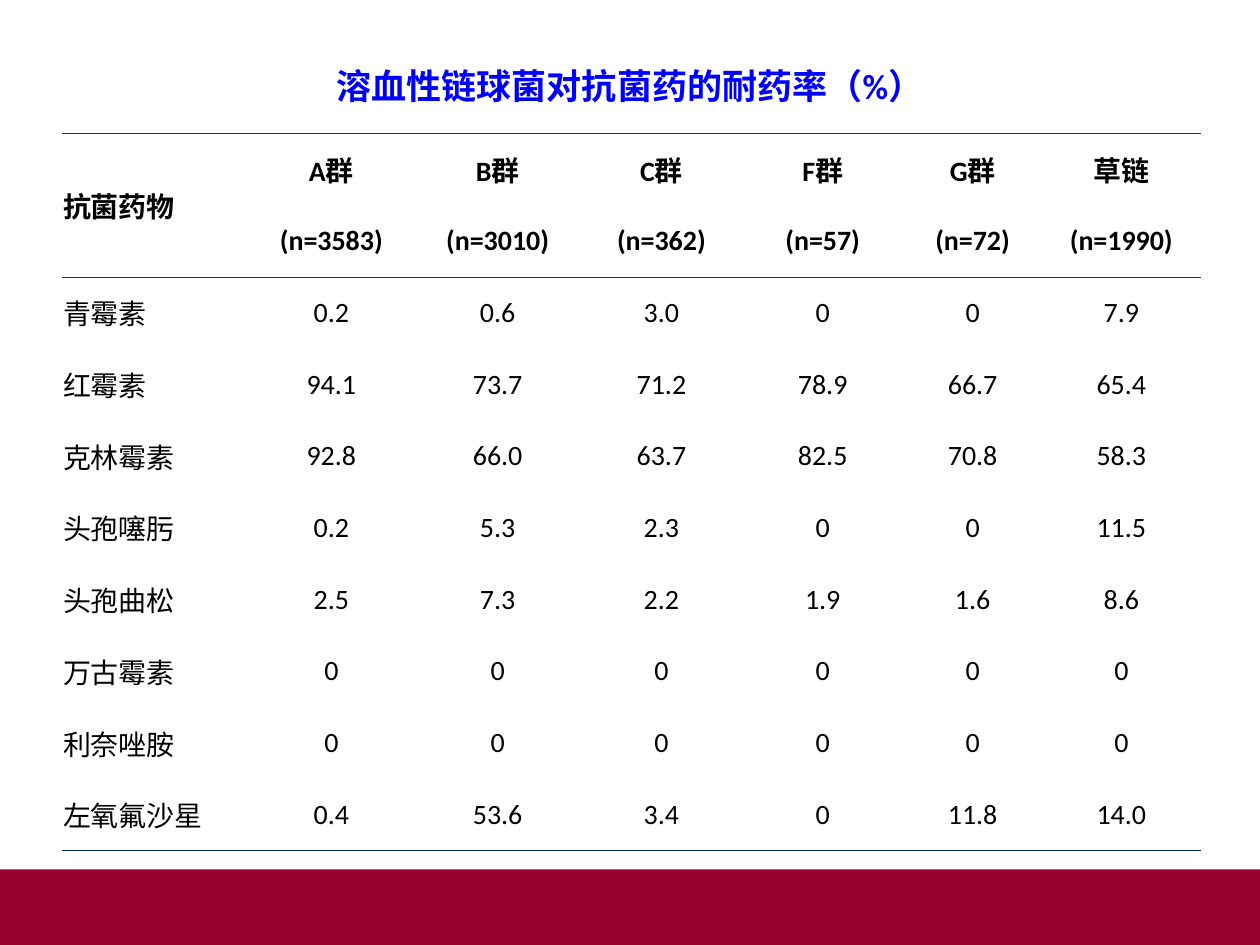
import pptx
import pptx.dml.color
import pptx.enum.shapes
import pptx.enum.text
import pptx.oxml
import pptx.oxml.ns
import pptx.util

Inches = pptx.util.Inches
ALIGN = pptx.enum.text.PP_ALIGN
MIDDLE = pptx.enum.text.MSO_ANCHOR.MIDDLE

TITLE = "溶血性链球菌对抗菌药的耐药率（%）"
ROWS = [
    ["抗菌药物", "A群", "B群", "C群", "F群", "G群", "草链"],
    ["", "(n=3583)", "(n=3010)", "(n=362)", "(n=57)", "(n=72)", "(n=1990)"],
    ["青霉素", "0.2", "0.6", "3.0", "0", "0", "7.9"],
    ["红霉素", "94.1", "73.7", "71.2", "78.9", "66.7", "65.4"],
    ["克林霉素", "92.8", "66.0", "63.7", "82.5", "70.8", "58.3"],
    ["头孢噻肟", "0.2", "5.3", "2.3", "0", "0", "11.5"],
    ["头孢曲松", "2.5", "7.3", "2.2", "1.9", "1.6", "8.6"],
    ["万古霉素", "0", "0", "0", "0", "0", "0"],
    ["利奈唑胺", "0", "0", "0", "0", "0", "0"],
    ["左氧氟沙星", "0.4", "53.6", "3.4", "0", "11.8", "14.0"],
]
HEADER_ROWS = 2
COLUMN_WIDTHS = [1.48, 1.32, 1.32, 1.28, 1.28, 1.1, 1.26]
TABLE_LEFT, TABLE_TOP, TABLE_HEIGHT = 0.49, 1.06, 5.69
# Rules by the number of rows above them
RULES = {0: "003366", HEADER_ROWS: "003366", len(ROWS): "002060"}
RULE_WIDTH = 0.45


def color(value):
    return pptx.dml.color.RGBColor.from_string(value)


def write(frame, text, size=16, ink="000000", bold=False, align=ALIGN.CENTER):
    paragraph = frame.paragraphs[0]
    paragraph.alignment = align
    span = paragraph.add_run()
    span.text = text
    span.font.name = "Calibri"
    span.font.size = pptx.util.Pt(size)
    span.font.bold = bold
    span.font.color.rgb = color(ink)


def set_borders(cell, top, bottom):
    """Draw the top and bottom edges in the given colours; None means no line."""
    properties = cell._tc.get_or_add_tcPr()
    namespace = pptx.oxml.ns.nsdecls("a")
    width = int(pptx.util.Pt(RULE_WIDTH))
    for side, ink in (("L", None), ("R", None), ("T", top), ("B", bottom)):
        fill = f'<a:solidFill><a:srgbClr val="{ink}"/></a:solidFill>' if ink else "<a:noFill/>"
        properties.append(pptx.oxml.parse_xml(
            f'<a:ln{side} {namespace} w="{width}">{fill}</a:ln{side}>'))


def add_band(page):
    band = page.shapes.add_shape(pptx.enum.shapes.MSO_SHAPE.RECTANGLE,
                                 0, Inches(6.9), Inches(10), Inches(0.6))
    band.shadow.inherit = False
    band.fill.solid()
    band.fill.fore_color.rgb = color("98002E")
    band.line.fill.background()


def add_title(page):
    box = page.shapes.add_textbox(0, Inches(0.37), Inches(10), Inches(0.62))
    box.text_frame.word_wrap = True
    box.text_frame.vertical_anchor = MIDDLE
    write(box.text_frame, TITLE, size=20, ink="0000FF", bold=True)


def add_resistance_table(page):
    table = page.shapes.add_table(
        len(ROWS), len(COLUMN_WIDTHS), Inches(TABLE_LEFT), Inches(TABLE_TOP),
        Inches(sum(COLUMN_WIDTHS)), Inches(TABLE_HEIGHT)).table
    table.first_row = table.horz_banding = False
    for column, width in zip(table.columns, COLUMN_WIDTHS):
        column.width = Inches(width)
    for row in table.rows:
        row.height = Inches(TABLE_HEIGHT / len(ROWS))
    table.cell(0, 0).merge(table.cell(HEADER_ROWS - 1, 0))

    for r, values in enumerate(ROWS):
        for c, text in enumerate(values):
            cell = table.cell(r, c)
            cell.margin_left = cell.margin_right = Inches(0.01)
            cell.vertical_anchor = MIDDLE
            bottom = HEADER_ROWS if cell.is_merge_origin else r + 1
            set_borders(cell, RULES.get(r), RULES.get(bottom))
            cell.fill.background()
            if text:
                write(cell.text_frame, text, bold=r < HEADER_ROWS,
                      align=ALIGN.CENTER if c else ALIGN.LEFT)


def main():
    deck = pptx.Presentation()
    deck.slide_width, deck.slide_height = Inches(10), Inches(7.5)
    page = deck.slides.add_slide(deck.slide_layouts[6])
    add_band(page)
    add_title(page)
    add_resistance_table(page)
    deck.save("out.pptx")


if __name__ == "__main__":
    main()
